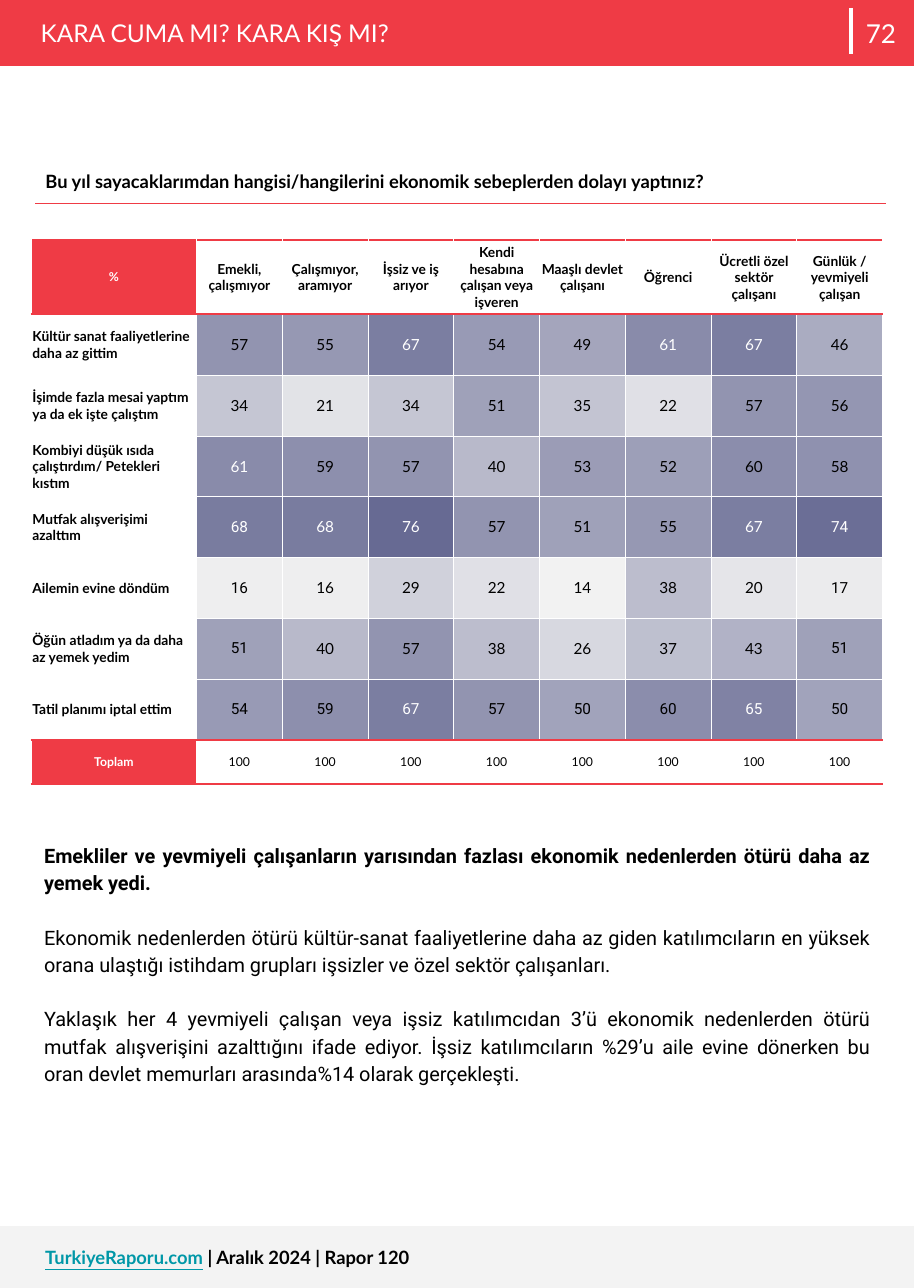
import lxml.etree
import pptx
import pptx.dml.color
import pptx.enum.shapes
import pptx.enum.text
import pptx.oxml.ns
import pptx.util

Pt = pptx.util.Pt
RGB = pptx.dml.color.RGBColor
ALIGN = pptx.enum.text.PP_ALIGN
ANCHOR = pptx.enum.text.MSO_ANCHOR

RED = RGB(0xEF, 0x3B, 0x45)
WHITE = RGB(0xFF, 0xFF, 0xFF)
BLACK = RGB(0, 0, 0)
GREY = RGB(0xF3, 0xF3, 0xF3)
TEAL = RGB(0x00, 0x97, 0xA7)
LOW = RGB(0xF2, 0xF2, 0xF2)    # lowest share
HIGH = RGB(0x67, 0x6A, 0x93)   # highest share

WIDTH, HEIGHT = 597.6, 842.4

TITLE = dict(name="Lato", size=Pt(16), color=WHITE)
PAGE = dict(name="Lato", size=Pt(17), color=WHITE)
BOLD12 = dict(name="Lato", size=Pt(12), bold=True, color=BLACK)
LINK = dict(BOLD12, color=TEAL, underline=True)
BODY = dict(name="Roboto", size=Pt(13), color=BLACK)
LABEL = dict(name="Lato", size=Pt(9), bold=True, color=BLACK)
RED_LABEL = dict(LABEL, size=Pt(8), color=WHITE)
TOTAL = dict(name="Lato", size=Pt(8), bold=False, color=BLACK)

GROUPS = ["Emekli, çalışmıyor", "Çalışmıyor, aramıyor", "İşsiz ve iş arıyor",
          "Kendi hesabına çalışan veya işveren", "Maaşlı devlet çalışanı",
          "Öğrenci", "Ücretli özel sektör çalışanı", "Günlük / yevmiyeli çalışan"]
SHARES = {
    "Kültür sanat faaliyetlerine daha az gittim": [57, 55, 67, 54, 49, 61, 67, 46],
    "İşimde fazla mesai yaptım ya da ek işte çalıştım": [34, 21, 34, 51, 35, 22, 57, 56],
    "Kombiyi düşük ısıda çalıştırdım/ Petekleri kıstım": [61, 59, 57, 40, 53, 52, 60, 58],
    "Mutfak alışverişimi azalttım": [68, 68, 76, 57, 51, 55, 67, 74],
    "Ailemin evine döndüm": [16, 16, 29, 22, 14, 38, 20, 17],
    "Öğün atladım ya da daha az yemek yedim": [51, 40, 57, 38, 26, 37, 43, 51],
    "Tatil planımı iptal ettim": [54, 59, 67, 57, 50, 60, 65, 50],
}
LEAST, MOST = 14, 76
WHITE_TEXT_FROM = 61

PARAGRAPHS = [
    "Emekliler ve yevmiyeli çalışanların yarısından fazlası ekonomik nedenlerden ötürü "
    "daha az yemek yedi.",
    "Ekonomik nedenlerden ötürü kültür-sanat faaliyetlerine daha az giden katılımcıların "
    "en yüksek orana ulaştığı istihdam grupları işsizler ve özel sektör çalışanları.",
    "Yaklaşık her 4 yevmiyeli çalışan veya işsiz katılımcıdan 3’ü ekonomik nedenlerden "
    "ötürü mutfak alışverişini azalttığını ifade ediyor. İşsiz katılımcıların %29’u aile "
    "evine dönerken bu oran devlet memurları arasında%14 olarak gerçekleşti.",
]


def add_run(p, text, fmt):
    r = p.add_run()
    r.text = text
    for key, value in fmt.items():
        if key == "color":
            r.font.color.rgb = value
        else:
            setattr(r.font, key, value)


def add_bar(shapes, top, height, color):
    sp = shapes.add_shape(pptx.enum.shapes.MSO_SHAPE.RECTANGLE,
                          0, Pt(top), Pt(WIDTH), Pt(height))
    sp.shadow.inherit = False
    sp.fill.solid()
    sp.fill.fore_color.rgb = color
    sp.line.fill.background()


def add_text(shapes, box, paragraphs, anchor=ANCHOR.TOP, **layout):
    """Each paragraph is a list of (text, format) runs."""
    tf = shapes.add_textbox(*map(Pt, box)).text_frame
    tf.word_wrap = True
    tf.vertical_anchor = anchor
    for side in ("left", "top", "right", "bottom"):
        setattr(tf, "margin_" + side, Pt(7.2))
    for i, runs in enumerate(paragraphs):
        p = tf.add_paragraph() if i else tf.paragraphs[0]
        for key, value in layout.items():
            if i or key != "space_before":
                setattr(p, key, value)
        for text, fmt in runs:
            add_run(p, text, fmt)


def add_line(shapes, x, top, bottom, color, width):
    cx = shapes.add_connector(pptx.enum.shapes.MSO_CONNECTOR.STRAIGHT,
                              Pt(x), Pt(top), Pt(x), Pt(bottom))
    cx.line.color.rgb = color
    cx.line.width = Pt(width)
    sp_pr = cx._element.spPr
    lxml.etree.SubElement(sp_pr, pptx.oxml.ns.qn("a:effectLst"))


def add_table(shapes, left, top, widths, heights):
    table = shapes.add_table(len(heights), len(widths), Pt(left), Pt(top),
                             Pt(sum(widths)), Pt(sum(heights))).table
    table.first_row = table.horz_banding = False
    for col, width in zip(table.columns, widths):
        col.width = Pt(width)
    for row, height in zip(table.rows, heights):
        row.height = Pt(height)
    return table


def set_borders(cell, **borders):
    """Borders are L, R, T, B, each (color, width)."""
    qn = pptx.oxml.ns.qn
    tc_pr = cell._tc.get_or_add_tcPr()
    for i, side in enumerate("LRTB"):
        color, width = borders[side]
        ln = lxml.etree.Element(qn("a:ln" + side), w=str(Pt(width)))
        fill = lxml.etree.SubElement(ln, qn("a:solidFill"))
        lxml.etree.SubElement(fill, qn("a:srgbClr"), val=str(color))
        tc_pr.insert(i, ln)


def fill_cell(cell, text, fmt, fill=None, align=ALIGN.CENTER,
              anchor=ANCHOR.MIDDLE, margin=0.72):
    for side in ("left", "top", "right", "bottom"):
        setattr(cell, "margin_" + side, Pt(margin))
    cell.vertical_anchor = anchor
    p = cell.text_frame.paragraphs[0]
    p.alignment = align
    add_run(p, text, fmt)
    if fill is None:
        cell.fill.background()
    else:
        cell.fill.solid()
        cell.fill.fore_color.rgb = fill


def shade(share):
    t = (share - LEAST) / (MOST - LEAST)
    return RGB(*(round(a + (b - a) * t) for a, b in zip(LOW, HIGH)))


def share_format(row, col, share):
    # The last row, and the outer columns of the three rows above, use Roboto
    roboto = row == 7 or (row >= 4 and col in (1, 8))
    return dict(name="Roboto" if roboto else "Lato", size=Pt(10), bold=False,
                color=WHITE if share >= WHITE_TEXT_FROM else BLACK)


def add_question(shapes):
    cell = add_table(shapes, 22.5, 104.4, [557.3], [28.8]).cell(0, 0)
    fill_cell(cell, "Bu yıl sayacaklarımdan hangisi/hangilerini ekonomik sebeplerden "
              "dolayı yaptınız?", BOLD12, WHITE, ALIGN.LEFT, ANCHOR.TOP, 7.2)
    edge = (WHITE, 0.75)
    set_borders(cell, L=edge, R=edge, T=edge, B=(RED, 1))


def add_shares(shapes):
    last = len(SHARES) + 1
    table = add_table(shapes, 20.5, 157, [108] + [56.08] * len(GROUPS),
                      [48.6] + [39.75] * len(SHARES) + [28.8])
    # Header and total rows
    for row, label, texts, fmt in ((0, "%", GROUPS, LABEL),
                                   (last, "Toplam", ["100"] * len(GROUPS), TOTAL)):
        fill_cell(table.cell(row, 0), label, RED_LABEL, RED)
        for col, text in enumerate(texts, 1):
            fill_cell(table.cell(row, col), text, fmt)
    # Shaded shares
    for row, (label, shares) in enumerate(SHARES.items(), 1):
        fill_cell(table.cell(row, 0), label, LABEL, align=ALIGN.LEFT)
        for col, share in enumerate(shares, 1):
            fill_cell(table.cell(row, col), str(share),
                      share_format(row, col, share), shade(share))
    # Red rules around the header and total rows, white grid elsewhere
    rule, grid = (RED, 1.5), (WHITE, 0.5)
    for row in range(last + 1):
        for col in range(len(GROUPS) + 1):
            set_borders(table.cell(row, col), L=grid if col else (WHITE, 1), R=grid,
                        T=rule if row in (0, 1, last) else grid,
                        B=rule if row in (0, last - 1, last) else grid)


def main():
    prs = pptx.Presentation()
    prs.slide_width, prs.slide_height = Pt(WIDTH), Pt(HEIGHT)
    shapes = prs.slides.add_slide(prs.slide_layouts[6]).shapes

    # Header
    add_bar(shapes, 0, 43.2, RED)
    add_text(shapes, (19.5, 4.3, 537, 34), [[("KARA CUMA MI? KARA KIŞ MI?", TITLE)]])
    add_text(shapes, (556.5, -10.8, 39, 64.8), [[("72", PAGE)]], ANCHOR.MIDDLE,
             alignment=ALIGN.CENTER)
    add_line(shapes, 556.5, 5.5, 35.3, WHITE, 2.25)

    # Question and results
    add_question(shapes)
    add_shares(shapes)

    # Commentary, first paragraph in bold
    add_text(shapes, (21.8, 542.2, 553.7, 196),
             [[(text, dict(BODY, bold=i == 0))] for i, text in enumerate(PARAGRAPHS)],
             alignment=ALIGN.JUSTIFY, line_spacing=1.15, space_before=Pt(17.5))

    # Footer
    footer = shapes.add_group_shape().shapes
    add_bar(footer, 802, 40.4, GREY)
    add_text(footer, (22.5, 807.8, 501, 34),
             [[("TurkiyeRaporu.com", LINK), (" | Aralık 2024 | Rapor 120", BOLD12)]])

    prs.save("out.pptx")


if __name__ == "__main__":
    main()
